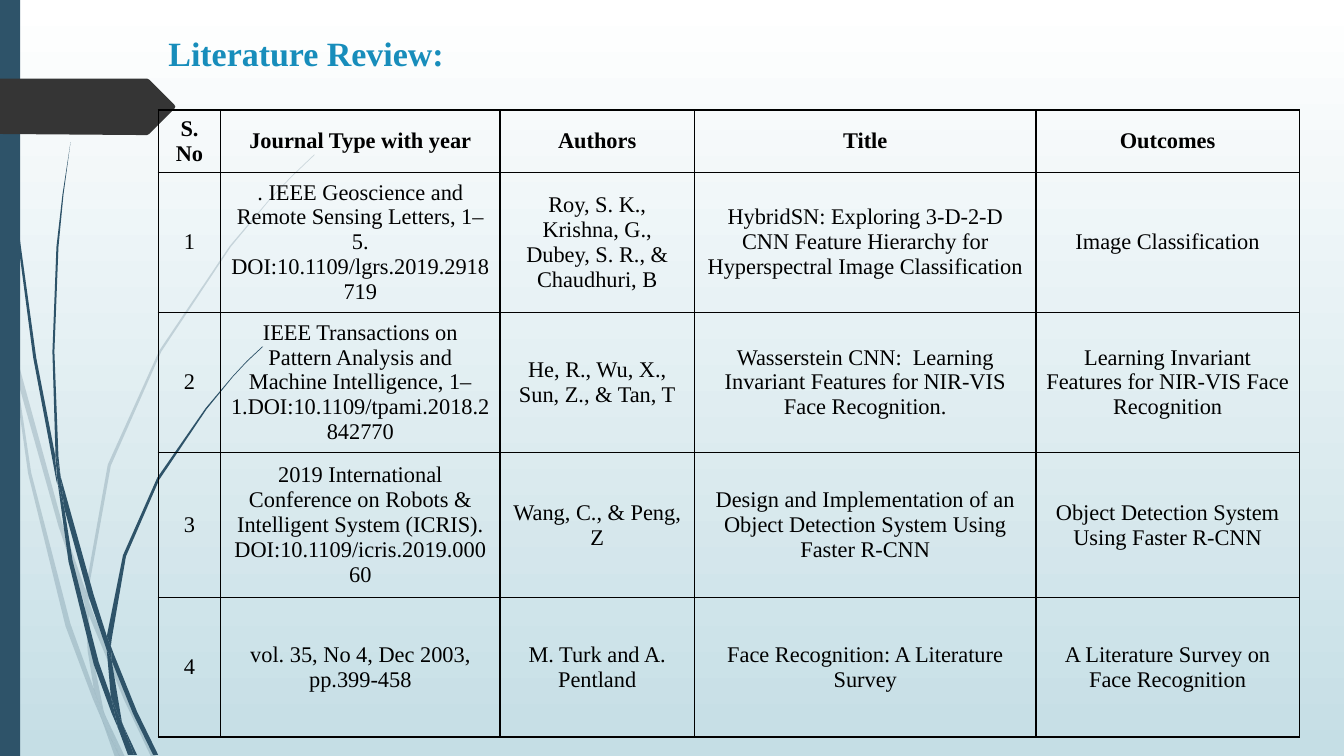
"""Builds the literature review slide: a decorated background, a title and a table."""
from dataclasses import dataclass

from lxml.etree import SubElement as Sub
from pptx import Presentation
from pptx.dml.color import RGBColor as RGB
from pptx.enum.shapes import MSO_SHAPE as SHAPE
from pptx.enum.text import MSO_ANCHOR as ANCHOR, MSO_AUTO_SIZE as AUTO, PP_ALIGN as ALIGN
from pptx.oxml.ns import qn
from pptx.util import Cm, Pt


@dataclass(frozen=True)
class Theme:
    font: str = "Times New Roman"
    title_size: float = 24.3
    cell_size: float = 16
    title: str = "178DBB"
    text: str = "000000"
    accent: str = "2E5369"
    tab: str = "353535"
    top: str = "FFFFFF"
    bottom: str = "C5DEE5"
    pale_alpha: int = 20
    border: float = 1
    unit: int = Cm(0.0254)


PALE_STRANDS = [
    [(11, 350), (9, 322), (0, 282), (0, 299), (10, 344)],
    [(58, 522), (84, 599), (85, 586), (62, 520), (14, 345), (17, 376)],
    [(92, 607), (88, 596), (88, 610), (123, 694), (150, 751), (155, 751), (127, 692)],
    [(119, 751), (124, 751), (105, 711)],
    [(93, 683), (70, 619), (31, 469), (17, 376), (11, 350), (28, 470), (65, 621),
     (92, 693), (101, 714), (99, 707)],
    [(84, 599), (87, 646), (93, 683), (96, 692), (105, 711), (103, 706), (91, 646),
     (88, 610), (88, 608)],
    [(88, 584), (110, 462), (160, 349), (229, 245), (268, 198), (290, 175), (312, 154),
     (312, 153), (289, 175), (268, 197), (228, 244), (158, 348), (107, 461), (85, 584),
     (85, 586), (88, 596)],
    [(101, 714), (114, 751), (119, 751)],
    [(88, 608), (88, 610), (88, 596), (85, 586), (84, 599)],
    [(96, 692), (93, 683), (99, 707), (101, 714), (119, 751), (105, 711)],
]
DARK_STRANDS = [
    [(7, 110), (17, 233), (33, 355), (56, 477), (57, 481), (55, 457), (55, 453),
     (36, 355), (19, 232), (8, 109), (5, 48), (4, 0), (3, 0), (4, 48)],
    [(88, 592), (106, 645), (106, 633), (106, 631), (93, 590), (60, 472), (64, 505)],
    [(113, 649), (110, 641), (111, 656), (132, 708), (152, 749), (157, 749), (136, 706)],
    [(110, 691), (98, 657), (72, 556), (64, 505), (57, 477), (68, 557), (93, 659),
     (111, 708), (117, 722), (116, 717)],
    [(60, 472), (58, 453), (54, 349), (58, 245), (63, 193), (70, 141), (62, 193),
     (56, 245), (52, 349), (55, 449)],
    [(133, 749), (136, 749), (122, 719)],
    [(57, 477), (64, 505), (60, 472), (55, 449), (55, 453)],
    [(111, 633), (125, 552), (158, 476), (205, 406), (231, 374), (245, 359), (261, 344),
     (260, 344), (245, 358), (231, 373), (204, 405), (156, 474), (122, 551), (106, 631),
     (110, 641)],
    [(117, 722), (127, 749), (131, 749)],
    [(106, 645), (110, 691), (116, 706), (122, 719), (121, 716), (111, 656), (109, 651)],
    [(106, 645), (109, 651), (111, 656), (110, 641), (106, 631), (106, 633)],
    [(116, 706), (110, 691), (116, 717), (117, 722), (130, 749), (133, 749), (122, 719)],
]
TAB = [(173, 108), (148, 133), (146, 134), (136, 134), (0, 133), (0, 78), (146, 78),
       (148, 79), (173, 104), (174, 106)]

COLUMNS = [1.57, 7.04, 4.9, 8.61, 6.63]
ROWS = [1.57, 3.53, 3.53, 3.66, 3.51]
PAPERS = [
    ["S. No", "Journal Type with year", "Authors", "Title", "Outcomes"],
    ["1", ". IEEE Geoscience and Remote Sensing Letters, 1–5. DOI:10.1109/lgrs.2019.2918719",
     "Roy, S. K., Krishna, G., Dubey, S. R., & Chaudhuri, B",
     "HybridSN: Exploring 3-D-2-D CNN Feature Hierarchy for Hyperspectral Image Classification",
     "Image Classification"],
    ["2", "IEEE Transactions on Pattern Analysis and Machine Intelligence, "
     "1–1.DOI:10.1109/tpami.2018.2842770",
     "He, R., Wu, X., Sun, Z., & Tan, T",
     "Wasserstein CNN:  Learning Invariant Features for NIR-VIS Face Recognition.",
     "Learning Invariant Features for NIR-VIS Face Recognition"],
    ["3", "2019 International Conference on Robots & Intelligent System (ICRIS). "
     "DOI:10.1109/icris.2019.00060",
     "Wang, C., & Peng, Z",
     "Design and Implementation of an Object Detection System Using Faster R-CNN",
     "Object Detection System Using Faster R-CNN"],
    ["4", "vol. 35, No 4, Dec 2003, pp.399-458", "M. Turk and A. Pentland",
     "Face Recognition: A Literature Survey", "A Literature Survey on Face Recognition"],
]


def put_text(tf, text, *, font, size, color, bold=False, align=ALIGN.LEFT):
    p = tf.paragraphs[0]
    p.alignment = align
    r = p.add_run()
    r.text = text
    r.font.name, r.font.size, r.font.bold = font, Pt(size), bold
    r.font.color.rgb = RGB.from_string(color)


class SlideBuilder:
    def __init__(self, slide, theme):
        self.s, self.theme = slide, theme

    def background(self):
        fill = self.s.background.fill
        fill.gradient()
        fill.gradient_angle = 270
        for stop, color in zip(fill.gradient_stops, (self.theme.top, self.theme.bottom)):
            stop.color.rgb = RGB.from_string(color)

    def paint(self, sp, color, alpha=None):
        sp.shadow.inherit = False
        sp.fill.solid()
        sp.fill.fore_color.rgb = RGB.from_string(color)
        sp.line.fill.background()
        if alpha is not None:
            clr = sp._element.spPr.find(".//" + qn("a:srgbClr"))
            Sub(clr, qn("a:alpha"), val=str(alpha * 1000))

    def outline(self, shapes, points, color, alpha=None):
        builder = shapes.build_freeform(*points[0], scale=self.theme.unit)
        builder.add_line_segments(points[1:], close=True)
        self.paint(builder.convert_to_shape(), color, alpha)

    def strands(self, outlines, alpha=None):
        group = self.s.shapes.add_group_shape()
        for points in outlines:
            self.outline(group.shapes, points, self.theme.accent, alpha)

    def bar(self, left, top, width, height):
        sp = self.s.shapes.add_shape(SHAPE.RECTANGLE, Cm(left), Cm(top), Cm(width), Cm(height))
        self.paint(sp, self.theme.accent)

    def title(self, text, left, top, width, height):
        sp, t = self.s.shapes.title, self.theme
        sp.left, sp.top, sp.width, sp.height = Cm(left), Cm(top), Cm(width), Cm(height)
        tf = sp.text_frame
        tf.auto_size, tf.word_wrap, tf.vertical_anchor = AUTO.NONE, True, ANCHOR.TOP
        put_text(tf, text, font=t.font, size=t.title_size, color=t.title, bold=True)

    def borders(self, cell):
        tc_pr = cell._tc.get_or_add_tcPr()
        for side in ("L", "R", "T", "B"):
            ln = Sub(tc_pr, qn(f"a:ln{side}"), w=str(Pt(self.theme.border)))
            Sub(Sub(ln, qn("a:solidFill")), qn("a:srgbClr"), val=self.theme.text)

    def table(self, data, left, top, columns, rows):
        t = self.theme
        frame = self.s.shapes.add_table(len(rows), len(columns), Cm(left), Cm(top),
                                        Cm(sum(columns)), Cm(sum(rows)))
        table = frame.table
        table.first_row = table.horz_banding = False
        for column, width in zip(table.columns, columns):
            column.width = Cm(width)
        for i, (row, height) in enumerate(zip(table.rows, rows)):
            row.height = Cm(height)
            for cell, text in zip(row.cells, data[i]):
                cell.vertical_anchor = ANCHOR.MIDDLE
                self.borders(cell)
                cell.fill.background()
                put_text(cell.text_frame, text, font=t.font, size=t.cell_size,
                         color=t.text, bold=i == 0, align=ALIGN.CENTER)


def main():
    prs = Presentation()
    prs.slide_width, prs.slide_height = Cm(33.87), Cm(19.05)
    theme = Theme()
    page = SlideBuilder(prs.slides.add_slide(prs.slide_layouts[5]), theme)
    page.background()
    page.strands(PALE_STRANDS, theme.pale_alpha)
    page.strands(DARK_STRANDS)
    page.bar(0, 0, 0.51, 19.05)
    page.outline(page.s.shapes, TAB, theme.tab)
    page.title("Literature Review:", 3.99, 0.69, 24.46, 1.75)
    page.table(PAPERS, 3.99, 2.77, COLUMNS, ROWS)
    prs.save("out.pptx")


if __name__ == "__main__":
    main()
